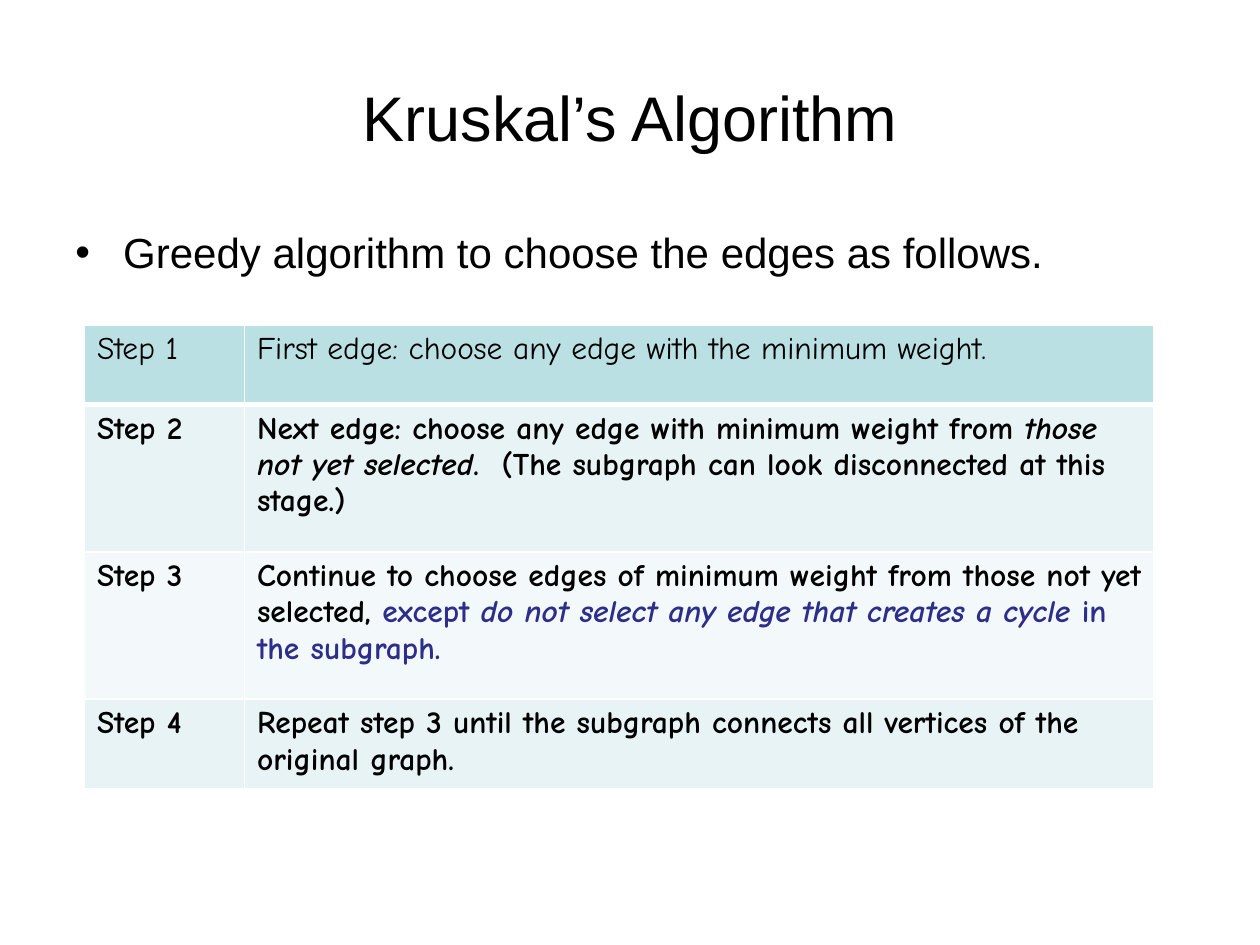
"""Build a slide that lists the steps of Kruskal's algorithm."""

from dataclasses import dataclass

from lxml.etree import SubElement
from pptx import Presentation
from pptx.dml.color import RGBColor
from pptx.enum.text import MSO_ANCHOR, PP_ALIGN
from pptx.oxml.ns import qn
from pptx.slide import Slide
from pptx.table import _Cell
from pptx.text.text import _Paragraph
from pptx.util import Inches, Pt

COLORS = {
    "text": "000000",
    "emphasis": "2D2D8A",
    "border": "FFFFFF",
    "header": "BBE0E3",
    "odd": "E7F3F4",
    "even": "F3F9FA",
}
COLUMN_WIDTHS = (1.27, 7.22)


@dataclass(frozen=True)
class Phrase:
    text: str
    color: str = "text"
    italic: bool = False


@dataclass(frozen=True)
class Step:
    phrases: tuple[Phrase, ...]
    height: float


STEPS = (
    Step((Phrase("First edge: choose any edge with the minimum weight."),), 0.63),
    Step(
        (
            Phrase("Next edge: choose any edge with minimum weight from "),
            Phrase("those not yet selected", italic=True),
            Phrase(".  (The subgraph can look disconnected at this stage.)"),
        ),
        1.17,
    ),
    Step(
        (
            Phrase("Continue to choose edges of minimum weight from those not yet selected, "),
            Phrase("except ", "emphasis"),
            Phrase("do not select any edge that creates a cycle", "emphasis", True),
            Phrase(" in the subgraph.", "emphasis"),
        ),
        1.17,
    ),
    Step(
        (Phrase("Repeat step 3 until the subgraph connects all vertices of the original graph."),),
        0.71,
    ),
)


def add_text(
    paragraph: _Paragraph,
    text: str,
    *,
    size: float,
    font: str = "Arial",
    color: str = "text",
    bold: bool = False,
    italic: bool = False,
) -> None:
    """Append a formatted run to a paragraph."""
    run = paragraph.add_run()
    run.text = text
    run.font.name = font
    run.font.size = Pt(size)
    run.font.bold = bold
    run.font.italic = italic
    run.font.color.rgb = RGBColor.from_string(COLORS[color])


def add_bullet(paragraph: _Paragraph, indent: float) -> None:
    """Give a paragraph a round bullet with a hanging indent."""
    properties = paragraph._p.get_or_add_pPr()
    properties.set("marL", str(Inches(indent)))
    properties.set("indent", str(-Inches(indent)))
    SubElement(properties, qn("a:buFont"), typeface="Arial")
    SubElement(properties, qn("a:buChar"), char="•")


def style_cell(cell: _Cell, fill: str, bottom_width: float) -> None:
    """Set the borders and the fill of a table cell."""
    properties = cell._tc.get_or_add_tcPr()
    for side, width in (("L", 1), ("R", 1), ("T", 1), ("B", bottom_width)):
        line = SubElement(properties, qn(f"a:ln{side}"), w=str(Pt(width)))
        line_fill = SubElement(line, qn("a:solidFill"))
        SubElement(line_fill, qn("a:srgbClr"), val=COLORS["border"])
    cell.fill.solid()
    cell.fill.fore_color.rgb = RGBColor.from_string(COLORS[fill])


def add_title(slide: Slide, text: str) -> None:
    """Place and fill the title."""
    title = slide.shapes.title
    title.left, title.top = Inches(0.5), Inches(0.3)
    title.width, title.height = Inches(9), Inches(1.25)
    title.text_frame.vertical_anchor = MSO_ANCHOR.MIDDLE
    paragraph = title.text_frame.paragraphs[0]
    paragraph.alignment = PP_ALIGN.CENTER
    add_text(paragraph, text, size=36)


def add_introduction(slide: Slide, text: str) -> None:
    """Add the bulleted sentence above the table."""
    box = slide.shapes.add_textbox(Inches(0.5), Inches(1.75), Inches(9), Inches(0.6))
    box.text_frame.word_wrap = True
    paragraph = box.text_frame.paragraphs[0]
    add_bullet(paragraph, 0.38)
    add_text(paragraph, text, size=24)


def add_steps(slide: Slide, steps: tuple[Step, ...]) -> None:
    """Add the table with one row for each step."""
    frame = slide.shapes.add_table(
        len(steps),
        len(COLUMN_WIDTHS),
        Inches(0.67),
        Inches(2.58),
        Inches(sum(COLUMN_WIDTHS)),
        Inches(sum(step.height for step in steps)),
    )
    table = frame.table
    for column, width in zip(table.columns, COLUMN_WIDTHS):
        column.width = Inches(width)
    for index, step in enumerate(steps):
        is_header = index == 0
        fill = "header" if is_header else "odd" if index % 2 else "even"
        row = table.rows[index]
        row.height = Inches(step.height)
        contents = ((Phrase(f"Step {index + 1}"),), step.phrases)
        for cell, phrases in zip(row.cells, contents):
            style_cell(cell, fill, 3 if is_header else 1)
            for phrase in phrases:
                add_text(
                    cell.text_frame.paragraphs[0],
                    phrase.text,
                    size=18,
                    font="Comic Neue",
                    color=phrase.color,
                    bold=not is_header,
                    italic=phrase.italic,
                )


def main() -> None:
    """Create and save the presentation."""
    presentation = Presentation()
    presentation.slide_width, presentation.slide_height = Inches(10), Inches(7.5)
    slide = presentation.slides.add_slide(presentation.slide_layouts[5])
    add_title(slide, "Kruskal’s Algorithm")
    add_introduction(slide, "Greedy algorithm to choose the edges as follows.")
    add_steps(slide, STEPS)
    presentation.save("out.pptx")


if __name__ == "__main__":
    main()
